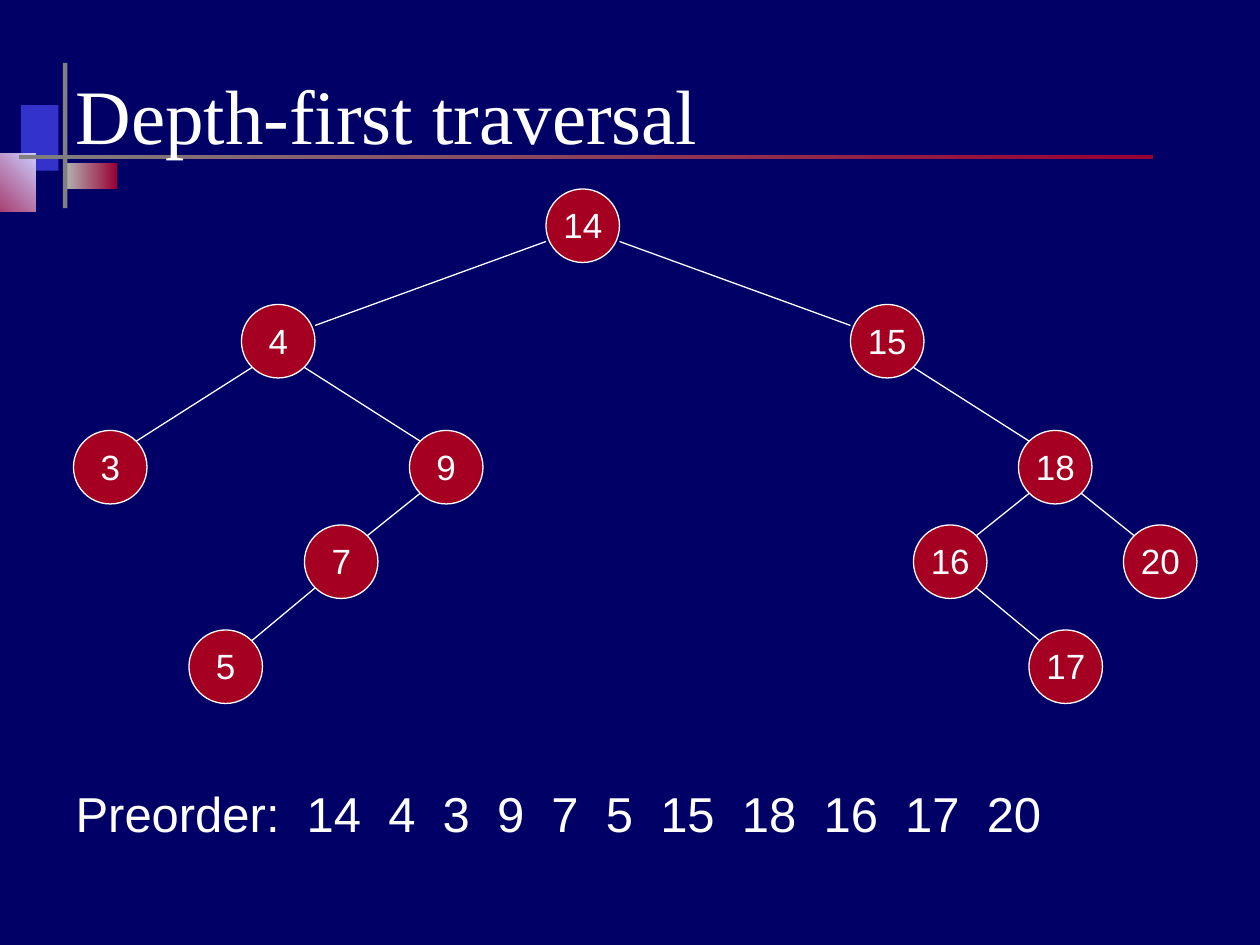
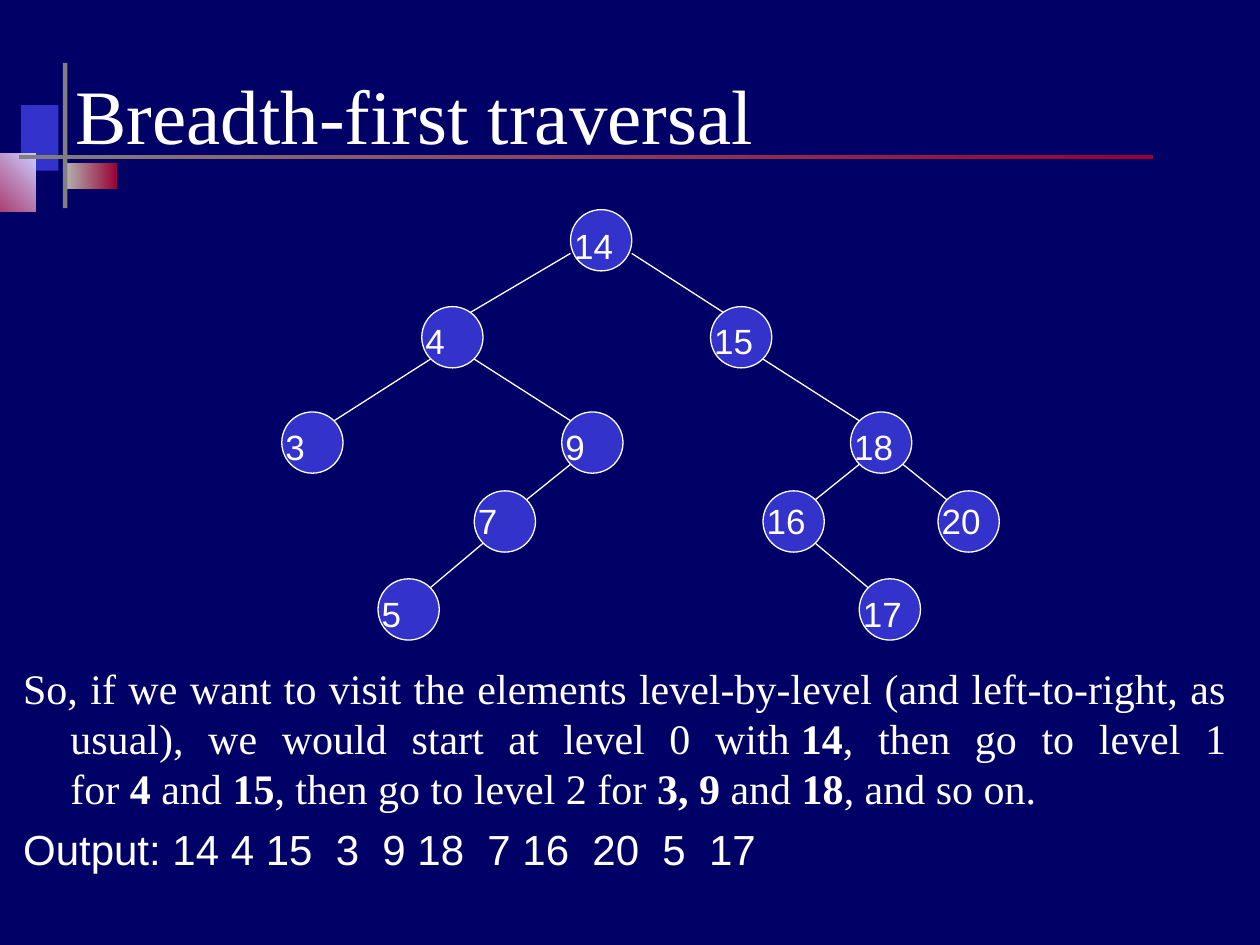
from dataclasses import dataclass

from lxml.etree import SubElement
from pptx import Presentation
from pptx.dml.color import RGBColor
from pptx.enum.shapes import MSO_CONNECTOR, MSO_SHAPE
from pptx.enum.text import MSO_ANCHOR, MSO_AUTO_SIZE, PP_ALIGN
from pptx.oxml.ns import qn
from pptx.presentation import Presentation as Deck
from pptx.shapes.autoshape import Shape
from pptx.slide import Slide
from pptx.text.text import Font
from pptx.util import Pt

NAVY = RGBColor(0x00, 0x00, 0x66)
BLUE = RGBColor(0x33, 0x33, 0xCC)
LAVENDER = RGBColor(0xCC, 0xCC, 0xFF)
CRIMSON = RGBColor(0x99, 0x00, 0x33)
RED = RGBColor(0xA5, 0x00, 0x21)
SILVER = RGBColor(0xB2, 0xB2, 0xB2)
GRAY = RGBColor(0x80, 0x80, 0x80)
WHITE = RGBColor(0xFF, 0xFF, 0xFF)

SERIF = "Times New Roman"
SANS = "Arial"
NO_BREAK_SPACE = chr(160)
HANGING_INDENT = 27
LABEL_HEIGHT = 31.5


@dataclass(frozen=True)
class Ornament:
    """A master rectangle, plain with one colour or a gradient with two."""

    left: float
    top: float
    width: float
    height: float
    colors: tuple[RGBColor, ...]
    angle: int = 0


@dataclass(frozen=True)
class Node:
    """A tree node with its depth and the value of its parent."""

    value: int
    level: int
    parent: int | None = None


@dataclass(frozen=True)
class TreeLayout:
    """Placement and look of the tree on one slide."""

    lefts: dict[int, float]
    tops: tuple[float, ...]
    label_drops: tuple[float, ...]
    diameter: float
    label_margin: float
    inset: tuple[float, float]
    root_start: tuple[float, float]
    root_end: tuple[float, float]
    color: RGBColor
    alignment: PP_ALIGN


@dataclass(frozen=True)
class BodyParagraph:
    """A body paragraph: asterisks enclose bold spans, tildes are no-break spaces."""

    text: str
    font: str
    size: float
    space_before: float = 0
    alignment: PP_ALIGN = PP_ALIGN.LEFT


@dataclass(frozen=True)
class TraversalPage:
    """The content of one traversal slide."""

    title: str
    tree: TreeLayout
    body_frame: tuple[float, float, float, float]
    paragraphs: tuple[BodyParagraph, ...]


ORNAMENTS = (
    Ornament(12, 60, 21.5, 37.5, (BLUE,)),
    Ornament(37.5, 93.25, 29.5, 14.75, (SILVER, CRIMSON)),
    Ornament(-24, 87.5, 44.5, 33.5, (CRIMSON, LAVENDER), 45),
    Ornament(36, 36, 2.5, 83, (GRAY,)),
    Ornament(11, 88.5, 648, 2.5, (GRAY, CRIMSON)),
)

NODES = (
    Node(14, 0),
    Node(4, 1, 14),
    Node(15, 1, 14),
    Node(3, 2, 4),
    Node(9, 2, 4),
    Node(18, 2, 15),
    Node(7, 3, 9),
    Node(16, 3, 18),
    Node(20, 3, 18),
    Node(5, 4, 7),
    Node(17, 4, 16),
)

DEPTH_TREE = TreeLayout(
    lefts={14: 312, 4: 138, 15: 486, 3: 42, 9: 234, 18: 582,
           7: 174, 16: 522, 20: 642, 5: 108, 17: 588},
    tops=(108, 174, 246, 300, 360),
    label_drops=(4.8,) * 5,
    diameter=42,
    label_margin=6,
    inset=(6, 6),
    root_start=(0, 12),
    root_end=(0, 12),
    color=RED,
    alignment=PP_ALIGN.CENTER,
)
BREADTH_TREE = TreeLayout(
    lefts={14: 326, 4: 241, 15: 406, 3: 161, 9: 321, 18: 486,
           7: 271, 16: 436, 20: 536, 5: 216, 17: 491},
    tops=(119.8, 175.2, 235.4, 280.5, 330.75),
    label_drops=(4.8, 3.6, 4.4, 1.5, 4.2),
    diameter=35,
    label_margin=5,
    inset=(5, 5),
    root_start=(0, 10),
    root_end=(10, 5),
    color=BLUE,
    alignment=PP_ALIGN.LEFT,
)

PAGES = (
    TraversalPage(
        "Depth-first traversal",
        DEPTH_TREE,
        (36, 444, 648, 54),
        (BodyParagraph("Preorder:  14  4  3  9  7  5  15  18  16  17  20", SANS, 28),),
    ),
    TraversalPage(
        "Breadth-first traversal",
        BREADTH_TREE,
        (6, 374.75, 702, 153),
        (
            BodyParagraph(
                "So, if we want to visit the elements level-by-level (and left-to-right, "
                "as usual), we would start at level 0 with~*14*, then go to level 1 "
                "for~*4*~and~*15*, then go to level 2 for~*3, 9*~and~*18*, and so on.",
                SERIF, 24, alignment=PP_ALIGN.JUSTIFY,
            ),
            BodyParagraph("Output: 14 4 15  3  9 18  7 16  20  5  17", SANS, 24, 6),
        ),
    ),
)


def style_font(font: Font, name: str, size: float, bold: bool = False) -> None:
    """Apply the white deck lettering."""
    font.name = name
    font.size = Pt(size)
    font.bold = bold
    font.color.rgb = WHITE


def place(shape: Shape, left: float, top: float, width: float, height: float) -> None:
    """Move and size a shape in points."""
    shape.left, shape.top = Pt(left), Pt(top)
    shape.width, shape.height = Pt(width), Pt(height)


def decorate_master(deck: Deck, page: Slide) -> None:
    """Set the background and move the ornaments, drawn on a page, to the master."""
    master = deck.slide_master
    master.background.fill.solid()
    master.background.fill.fore_color.rgb = NAVY
    for number, ornament in enumerate(ORNAMENTS, start=100):
        shape = page.shapes.add_shape(MSO_SHAPE.RECTANGLE, 0, 0, 0, 0)
        place(shape, ornament.left, ornament.top, ornament.width, ornament.height)
        shape.shadow.inherit = False
        shape.line.fill.background()
        if len(ornament.colors) == 1:
            shape.fill.solid()
            shape.fill.fore_color.rgb = ornament.colors[0]
        else:
            shape.fill.gradient()
            shape.fill.gradient_angle = ornament.angle
            for stop, color in zip(shape.fill.gradient_stops, ornament.colors):
                stop.color.rgb = color
        shape.element.nvSpPr.cNvPr.set("id", str(number))
        master.shapes.element.append(shape.element)


def write_title(page: Slide, text: str) -> None:
    """Fill the title placeholder."""
    title = page.shapes.title
    place(title, 36, 28.8, 648, 72)
    frame = title.text_frame
    frame.text = text
    frame.auto_size = MSO_AUTO_SIZE.NONE
    frame.vertical_anchor = MSO_ANCHOR.MIDDLE
    frame.paragraphs[0].alignment = PP_ALIGN.LEFT
    style_font(frame.paragraphs[0].runs[0].font, SERIF, 44)


def write_body(page: Slide, content: TraversalPage) -> None:
    """Fill the body placeholder with hanging paragraphs without bullets."""
    body = page.placeholders[1]
    place(body, *content.body_frame)
    frame = body.text_frame
    frame.auto_size = MSO_AUTO_SIZE.NONE
    for index, item in enumerate(content.paragraphs):
        paragraph = frame.add_paragraph() if index else frame.paragraphs[0]
        paragraph.alignment = item.alignment
        paragraph.space_before = Pt(item.space_before)
        properties = paragraph._p.get_or_add_pPr()
        properties.set("marL", str(Pt(HANGING_INDENT)))
        properties.set("indent", str(-Pt(HANGING_INDENT)))
        SubElement(properties, qn("a:buNone"))
        pieces = item.text.replace("~", NO_BREAK_SPACE).split("*")
        for position, text in enumerate(pieces):
            span = paragraph.add_run()
            span.text = text
            style_font(span.font, item.font, item.size, bold=position % 2 == 1)


def draw_edge(page: Slide, tree: TreeLayout, parent: Node, child: Node) -> None:
    """Join the lower corner of a parent to the facing upper corner of its child."""
    is_root = parent.level == 0
    start_x, start_y = tree.root_start if is_root else tree.inset
    end_x, end_y = tree.root_end if is_root else tree.inset
    parent_left, child_left = tree.lefts[parent.value], tree.lefts[child.value]
    if child_left < parent_left:
        end_x = tree.diameter - end_x
    else:
        start_x = tree.diameter - start_x
    edge = page.shapes.add_connector(
        MSO_CONNECTOR.STRAIGHT,
        Pt(parent_left + start_x),
        Pt(tree.tops[parent.level] + tree.diameter - start_y),
        Pt(child_left + end_x),
        Pt(tree.tops[child.level] + end_y),
    )
    edge.line.color.rgb = WHITE
    edge.line.width = Pt(0.75)
    SubElement(edge.element.spPr, qn("a:effectLst"))


def draw_node(page: Slide, tree: TreeLayout, node: Node) -> None:
    """Draw a circle and its number."""
    left, top = tree.lefts[node.value], tree.tops[node.level]
    circle = page.shapes.add_shape(MSO_SHAPE.OVAL, 0, 0, 0, 0)
    place(circle, left, top, tree.diameter, tree.diameter)
    circle.shadow.inherit = False
    circle.fill.solid()
    circle.fill.fore_color.rgb = tree.color
    circle.line.color.rgb = WHITE
    circle.line.width = Pt(0.75)

    label = page.shapes.add_textbox(0, 0, 0, 0)
    place(label, left - tree.label_margin, top + tree.label_drops[node.level],
          tree.diameter + 2 * tree.label_margin, LABEL_HEIGHT)
    frame = label.text_frame
    frame.word_wrap = True
    frame.text = str(node.value)
    frame.paragraphs[0].alignment = tree.alignment
    style_font(frame.paragraphs[0].runs[0].font, SANS, 20)


def draw_tree(page: Slide, tree: TreeLayout) -> None:
    """Draw all edges and then all nodes."""
    by_value = {node.value: node for node in NODES}
    for node in NODES:
        if node.parent is not None:
            draw_edge(page, tree, by_value[node.parent], node)
    for node in NODES:
        draw_node(page, tree, node)


def main() -> None:
    """Build and save the deck."""
    deck = Presentation()
    deck.slide_width, deck.slide_height = Pt(720), Pt(540)
    for index, content in enumerate(PAGES):
        page = deck.slides.add_slide(deck.slide_layouts[1])
        if index == 0:
            decorate_master(deck, page)
        write_title(page, content.title)
        write_body(page, content)
        draw_tree(page, content.tree)
    deck.save("out.pptx")


if __name__ == "__main__":
    main()
